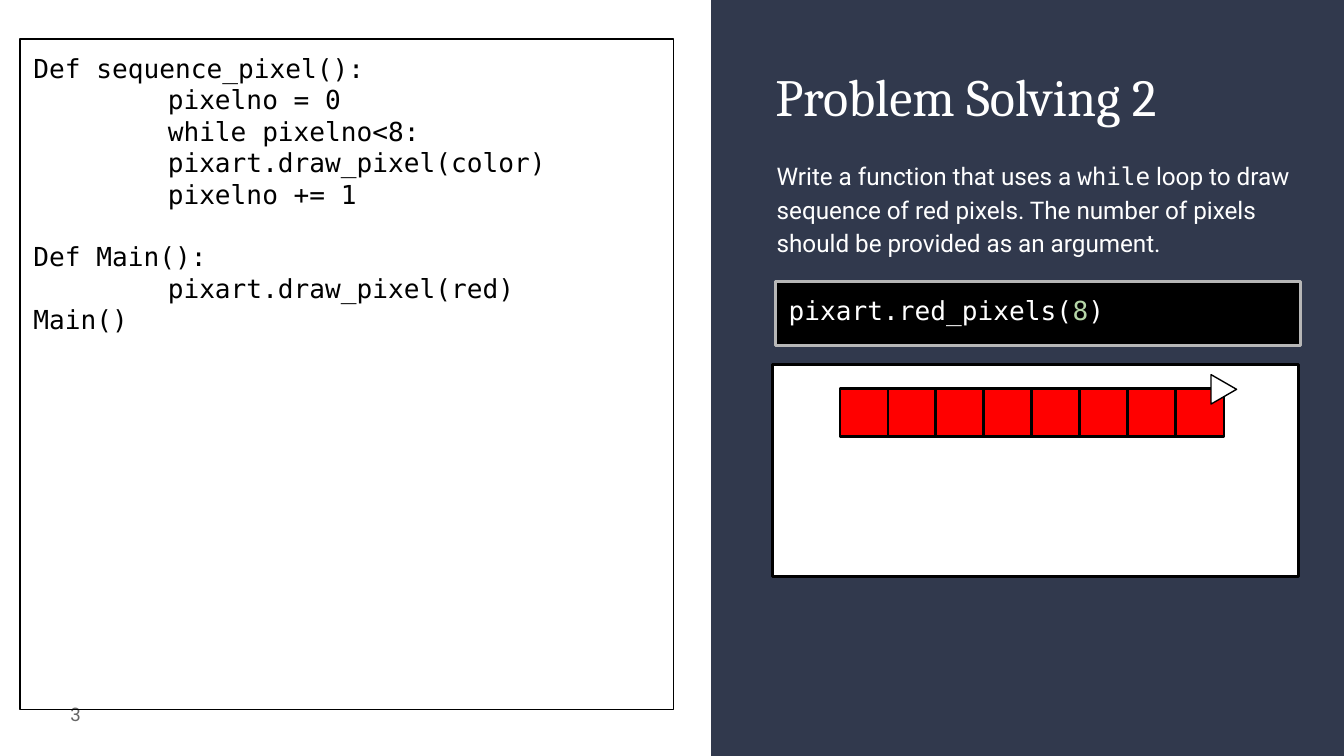
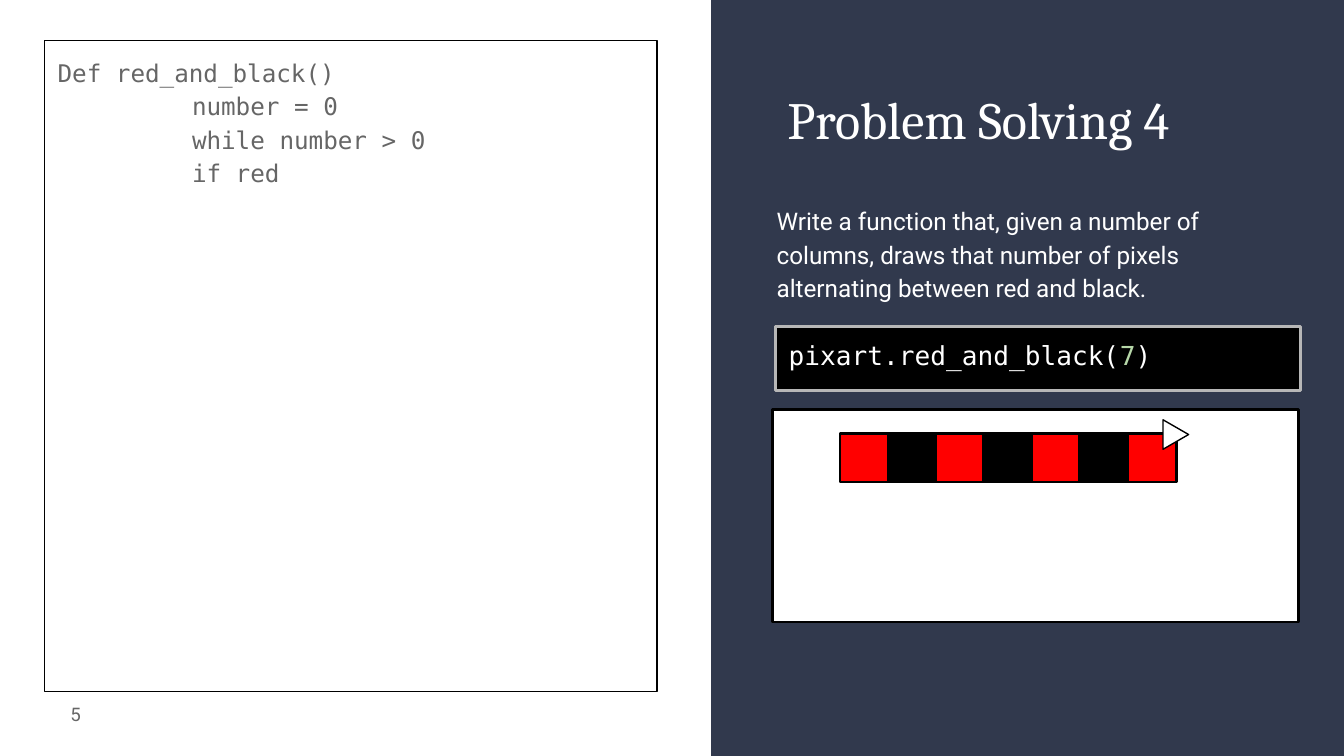
from dataclasses import dataclass
from pptx import Presentation
from pptx.dml.color import RGBColor as RGB
from pptx.enum.shapes import MSO_SHAPE as Shape
from pptx.enum.text import MSO_ANCHOR as Anchor, MSO_AUTO_SIZE as Auto, PP_ALIGN as Align
from pptx.util import Pt


@dataclass(frozen=True)
class Theme:
    navy: str = "31394D"
    white: str = "FFFFFF"
    black: str = "000000"
    red: str = "FF0000"
    gray: str = "666666"
    edge: str = "B7B7B7"
    green: str = "B6D7A8"
    serif: str = "Cambria"
    sans: str = "Roboto"
    mono: str = "DejaVu Sans Mono"
    head: float = 28
    code: float = 14
    body: float = 13
    note: float = 10


T = Theme()
HEAD = dict(name=T.serif, size=T.head, color=T.white)
BODY = dict(name=T.sans, size=T.body, color=T.white)
WORD = {**BODY, "name": T.mono}
CALL = dict(name=T.mono, size=T.code, color=T.white)
ARG = {**CALL, "color": T.green}
NOTE = dict(name=T.sans, size=T.note, color=T.gray)

# Code lines are (indent level, text, blank lines above).
TASKS = [
    dict(
        title="Problem Solving 2", spot=(408.2, 27.4), page="3", top=77,
        prompt=[("Write a function that uses a ", BODY), ("while", WORD),
                (" loop to draw sequence of red pixels. The number of pixels "
                 "should be provided as an argument.", BODY)],
        call="pixart.red_pixels", count=8, hues=[T.red],
        box=(10.8, 20.9, 350, 359.3), font={**CALL, "color": T.black}, lead=1.0,
        code=[(0, "Def sequence_pixel():", 0), (1, "pixelno = 0", 0),
              (1, "while pixelno<8:", 0), (1, "pixart.draw_pixel(color)", 0),
              (1, "pixelno += 1", 0), (0, "Def Main():", 1),
              (1, "pixart.draw_pixel(red)", 0), (0, "Main()", 0)]),
    dict(
        title="Problem Solving 4", spot=(414.6, 39.6), page="5", top=101.2,
        prompt=[("Write a function that, given a number of columns, draws that "
                 "number of pixels alternating between red and black.", BODY)],
        call="pixart.red_and_black", count=7, hues=[T.red, T.black],
        box=(23.8, 21.6, 328.2, 349), font={**WORD, "color": T.gray}, lead=1.15,
        code=[(0, "Def red_and_black()", 0), (1, "number = 0", 0),
              (1, "while number > 0", 0), (1, "if red", 0)]),
]

WIDE, HIGH = 720, 405
PANEL = (381, 0, WIDE - 381, HIGH)
INSET, TAB, LINE = 7.2, 72, 16.8
CELL, STEP = 25.9, 25.7
TIP = (15.8, 13.7)


def pts(*vals):
    return [Pt(v) for v in vals]


def draw(shapes, kind, at, fill=None, edge=None, width=1.5):
    """Add a flat preset shape; no fill or edge means none is drawn."""
    shape = shapes.add_shape(kind, *pts(*at))
    shape.shadow.inherit = False
    for part, hue in ((shape.fill, fill), (shape.line.fill, edge)):
        if hue:
            part.solid()
            part.fore_color.rgb = RGB.from_string(hue)
        else:
            part.background()
    if edge:
        shape.line.width = Pt(width)
    return shape


def frame(shape, anchor=Anchor.TOP):
    """Give a shape the shared text insets and return its text frame."""
    text = shape.text_frame
    form = dict(word_wrap=True, auto_size=Auto.NONE, vertical_anchor=anchor)
    form.update({f"margin_{side}": Pt(INSET)
                 for side in ("left", "top", "right", "bottom")})
    for key, val in form.items():
        setattr(text, key, val)
    return text


def write(para, runs, **form):
    for key, val in {"alignment": Align.LEFT, **form}.items():
        setattr(para, key, val)
    for words, style in runs:
        run = para.add_run()
        run.text = words
        run.font.name = style["name"]
        run.font.size = Pt(style["size"])
        run.font.color.rgb = RGB.from_string(style["color"])


def label(shapes, at, runs, anchor=Anchor.TOP, **form):
    box = shapes.add_textbox(*pts(*at))
    write(frame(box, anchor).paragraphs[0], runs, **form)


def listing(shapes, task):
    box = draw(shapes, Shape.RECTANGLE, task["box"], edge=T.black, width=0.75)
    text = frame(box)
    for i, (level, words, gap) in enumerate(task["code"]):
        para = text.add_paragraph() if i else text.paragraphs[0]
        write(para, [(words, task["font"])], line_spacing=task["lead"],
              space_before=Pt(gap * LINE))
        para._p.get_or_add_pPr().set("marL", str(Pt(level * TAB)))


def canvas(shapes, top, count, hues):
    """Draw the pixel row with the cursor on its top right corner."""
    group = shapes.add_group_shape().shapes
    draw(group, Shape.RECTANGLE, (414, top, 281.5, 113.8), T.white, T.black)
    left, row = 450, top + 13
    for i in range(count):
        draw(group, Shape.RECTANGLE, (left + i * STEP, row, CELL, CELL),
             hues[i % len(hues)], T.black)
    wide, high = TIP
    at = (left + count * STEP - wide / 2, row - high / 2 + 0.4, wide, high)
    draw(group, Shape.ISOSCELES_TRIANGLE, at, T.white, T.black, 0.75).rotation = 90


def build(slide, task):
    shapes, top = slide.shapes, task["top"]
    title = shapes.title
    left, high = task["spot"]
    spot = dict(left=left, top=high, width=291.6, height=50.4)
    for key, val in spot.items():
        setattr(title, key, Pt(val))
    write(frame(title).paragraphs[0], [(task["title"], HEAD)])
    label(shapes, (409, top, 291.6, 72), task["prompt"],
          line_spacing=1.15, space_after=Pt(16))
    label(shapes, (7.2, 367.2, 43.2, 31), [(task["page"], NOTE)],
          Anchor.MIDDLE, alignment=Align.RIGHT)
    listing(shapes, task)
    canvas(shapes, top + 118.2, task["count"], task["hues"])
    bar = draw(shapes, Shape.RECTANGLE, (415.4, top + 73.6, 281.5, 34.6),
               T.black, T.edge)
    write(frame(bar).paragraphs[0],
          [(task["call"] + "(", CALL), (str(task["count"]), ARG), (")", CALL)])


def main():
    deck = Presentation()
    deck.slide_width, deck.slide_height = pts(WIDE, HIGH)
    layout = deck.slide_layouts[5]
    slides = [deck.slides.add_slide(layout) for _ in TASKS]
    # The side panel moves to the layout, so that every slide shares it.
    panel = draw(slides[0].shapes, Shape.RECTANGLE, PANEL, T.navy)
    layout.shapes._spTree.insert(2, panel._element)
    for slide, task in zip(slides, TASKS):
        build(slide, task)
    deck.save("out.pptx")


if __name__ == "__main__":
    main()
